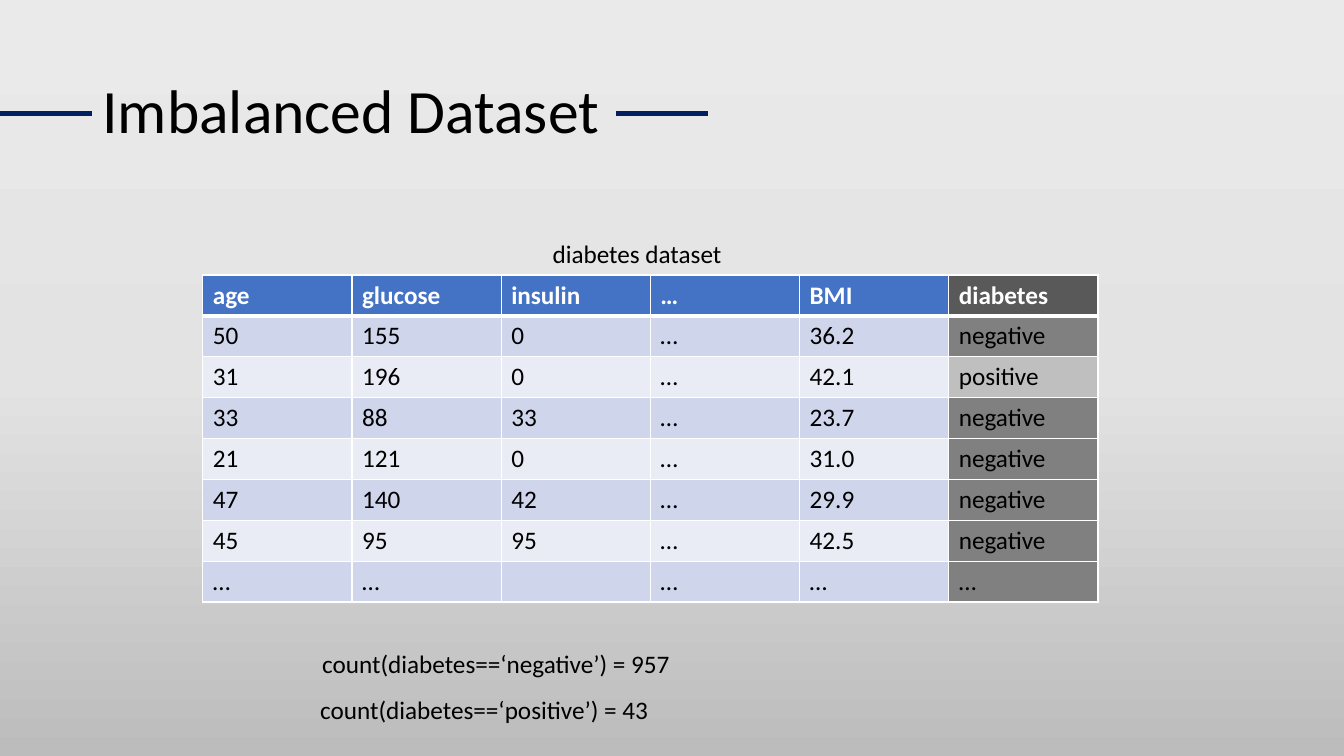
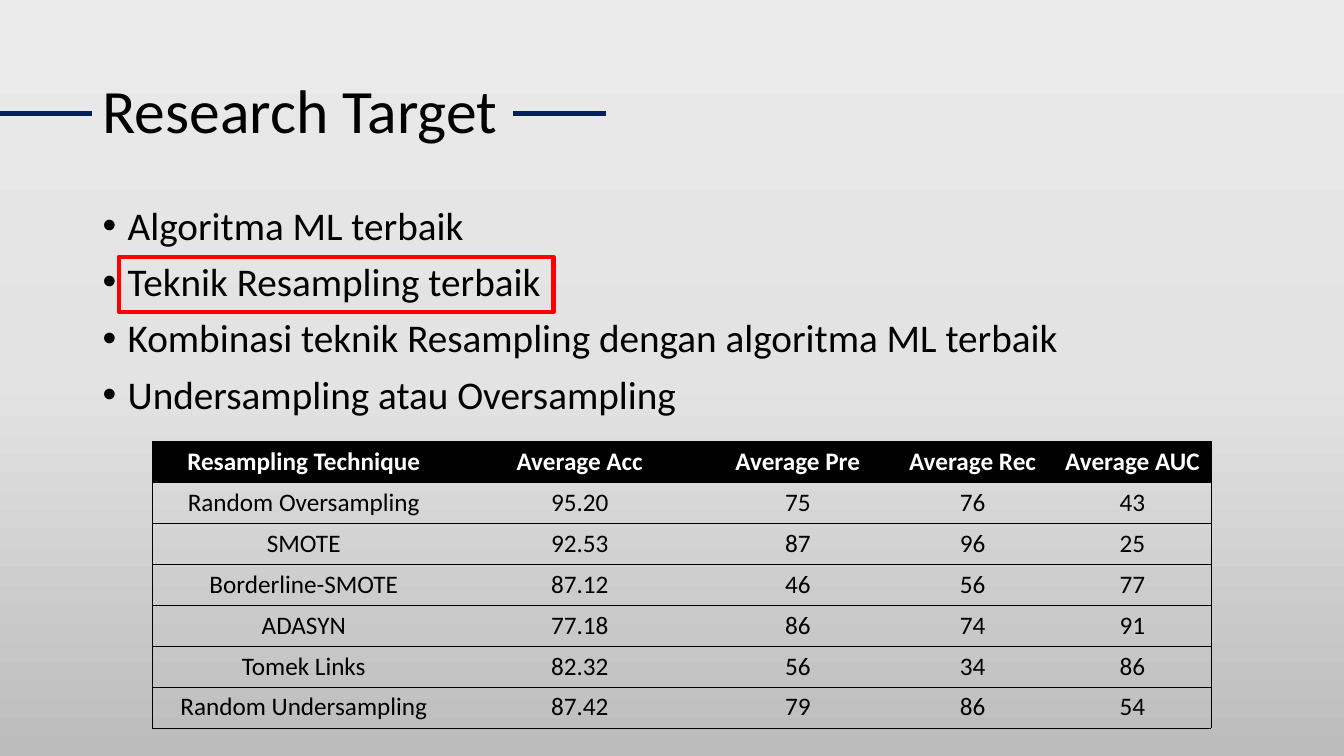
"""Build two slides on an imbalanced dataset and the research target."""
from copy import deepcopy

from lxml.etree import SubElement
from pptx import Presentation
from pptx.dml.color import RGBColor
from pptx.enum.shapes import MSO_CONNECTOR, MSO_SHAPE
from pptx.enum.text import MSO_ANCHOR, MSO_AUTO_SIZE, PP_ALIGN
from pptx.oxml.ns import qn
from pptx.util import Cm, Pt

FONT = "Calibri"
BLACK = RGBColor(0x00, 0x00, 0x00)
WHITE = RGBColor(0xFF, 0xFF, 0xFF)
NAVY = RGBColor(0x00, 0x20, 0x60)
RED = RGBColor(0xFF, 0x00, 0x00)
BLUE = RGBColor(0x44, 0x72, 0xC4)
BANDS = [RGBColor(0xE9, 0xEB, 0xF5), RGBColor(0xCF, 0xD5, 0xEA)]
DARK = RGBColor(0x59, 0x59, 0x59)
GRAY = RGBColor(0x80, 0x80, 0x80)
SILVER = RGBColor(0xBF, 0xBF, 0xBF)
FADE = [
    (0, RGBColor(0xEB, 0xEA, 0xEA)),
    (0.5, RGBColor(0xE4, 0xE3, 0xE3)),
    (1, RGBColor(0xBD, 0xBC, 0xBC)),
]
PLAIN = "{2D5ABB26-0587-4C30-8999-92F81FD0307C}"


def write(para, text, size=18, color=BLACK, bold=False, align=PP_ALIGN.LEFT):
    para.alignment = align
    if text:
        run = para.add_run()
        run.text = text
        run.font.name = FONT
        run.font.size = Pt(size)
        run.font.bold = bold
        run.font.color.rgb = color


def grid(page, rows, left, top, widths, align, edge, weight, inner, rule, paint):
    frame = page.shapes.add_table(
        len(rows), len(widths), Cm(left), Cm(top),
        Cm(sum(widths)), Cm(1.03 * len(rows)))
    table = frame.table
    table.horz_banding = False
    frame._element.find(".//" + qn("a:tableStyleId")).text = PLAIN
    for col, width in zip(table.columns, widths):
        col.width = Cm(width)
    for r, row in enumerate(rows):
        table.rows[r].height = Cm(1.03)
        for c, text in enumerate(row):
            cell = table.cell(r, c)
            head = r == 0
            write(cell.text_frame.paragraphs[0], text,
                  color=WHITE if head else BLACK, bold=head, align=align)
            drawn = {"L": inner or c == 0, "R": inner or c == len(row) - 1,
                     "T": True, "B": True}
            props = cell._tc.get_or_add_tcPr()
            for side, shown in drawn.items():
                if shown:
                    thick = rule if (r, side) in [(0, "B"), (1, "T")] else weight
                    line = SubElement(props, qn("a:ln" + side), w=str(Pt(thick)))
                    solid = SubElement(line, qn("a:solidFill"))
                    SubElement(solid, qn("a:srgbClr"), val=str(edge))
            color = paint(r, c, text)
            if color is None:
                cell.fill.background()
            else:
                cell.fill.solid()
                cell.fill.fore_color.rgb = color


deck = Presentation()
deck.slide_width, deck.slide_height = Cm(33.87), Cm(19.05)

master = deck.slide_master
fill = master.background.fill
fill.gradient()
fill.gradient_angle = 270
stops = master.element.find(".//" + qn("a:gsLst"))
stops.append(deepcopy(stops[0]))
for stop, (place, color) in zip(fill.gradient_stops, FADE):
    stop.position = place
    stop.color.rgb = color

pages = []
for layout, text, width, dash in [
    (5, "Imbalanced Dataset", 14.07, 15.52),
    (1, "Research Target", 10.97, 12.93),
]:
    page = deck.slides.add_slide(deck.slide_layouts[layout])
    pages.append(page)
    title = page.shapes.title
    title.left, title.top = Cm(2.33), Cm(1.02)
    title.width, title.height = Cm(width), Cm(3.68)
    frame = title.text_frame
    frame.auto_size = MSO_AUTO_SIZE.NONE
    frame.vertical_anchor = MSO_ANCHOR.MIDDLE
    frame.paragraphs[0].line_spacing = 0.9
    write(frame.paragraphs[0], text, 44)
    for start in (0, dash):
        line = page.shapes.add_connector(
            MSO_CONNECTOR.STRAIGHT, Cm(start), Cm(2.86), Cm(start + 2.33), Cm(2.86))
        line.line.color.rgb = NAVY
        line.line.width = Pt(3)
        SubElement(line._element.spPr, qn("a:effectLst"))
        if start == 0:
            line.end_connect(title, 1)

data, target = pages

samples = [
    ["age", "glucose", "insulin", "…", "BMI", "diabetes"],
    ["50", "155", "0", "…", "36.2", "negative"],
    ["31", "196", "0", "…", "42.1", "positive"],
    ["33", "88", "33", "…", "23.7", "negative"],
    ["21", "121", "0", "…", "31.0", "negative"],
    ["47", "140", "42", "…", "29.9", "negative"],
    ["45", "95", "95", "…", "42.5", "negative"],
    ["…", "…", "", "…", "…", "…"],
]
grid(data, samples, 5.11, 6.93, [3.76] * 6, PP_ALIGN.LEFT, WHITE, 1, True, 3,
     lambda r, c, text: (
         (DARK if r == 0 else SILVER if text == "positive" else GRAY) if c == 5
         else BLUE if r == 0 else BANDS[r % 2]))

for text, left, top, width, align in [
    ("count(diabetes==‘negative’) = 957", 7.87, 16.21, 11.2, PP_ALIGN.LEFT),
    ("count(diabetes==‘positive’) = 43", 7.82, 17.36, 8.9, PP_ALIGN.LEFT),
    ("diabetes dataset", 13.03, 5.87, 6.05, PP_ALIGN.CENTER),
]:
    box = data.shapes.add_textbox(Cm(left), Cm(top), Cm(width), Cm(1.03))
    box.text_frame.word_wrap = True
    write(box.text_frame.paragraphs[0], text, align=align)

body = target.placeholders[1]
body.left, body.top, body.width, body.height = Cm(2.33), Cm(5.07), Cm(29.21), Cm(12.09)
frame = body.text_frame
frame.auto_size = MSO_AUTO_SIZE.NONE
for i, text in enumerate([
    "Algoritma ML terbaik",
    "Teknik Resampling terbaik",
    "Kombinasi teknik Resampling dengan algoritma ML terbaik",
    "Undersampling atau Oversampling",
]):
    para = frame.add_paragraph() if i else frame.paragraphs[0]
    para.line_spacing = 0.9
    para.space_before = Pt(10)
    props = para._p.get_or_add_pPr()
    props.set("marL", str(Pt(18)))
    props.set("indent", str(Pt(-18)))
    write(para, text, 28)

mark = target.shapes.add_shape(
    MSO_SHAPE.RECTANGLE, Cm(3), Cm(6.47), Cm(10.95), Cm(1.4))
mark.shadow.inherit = False
mark.fill.background()
mark.line.color.rgb = RED
mark.line.width = Pt(3)

scores = [
    ["Resampling Technique", "Average Acc", "Average Pre", "Average Rec", "Average AUC"],
    ["Random Oversampling", "95.20", "75", "76", "43"],
    ["SMOTE", "92.53", "87", "96", "25"],
    ["Borderline-SMOTE", "87.12", "46", "56", "77"],
    ["ADASYN", "77.18", "86", "74", "91"],
    ["Tomek Links", "82.32", "56", "34", "86"],
    ["Random Undersampling", "87.42", "79", "86", "54"],
]
grid(target, scores, 3.84, 11.13, [7.63, 6.28, 4.71, 4.1, 3.96], PP_ALIGN.CENTER,
     BLACK, 0.5, False, 0.5, lambda r, c, text: BLACK if r == 0 else None)

deck.save("out.pptx")
